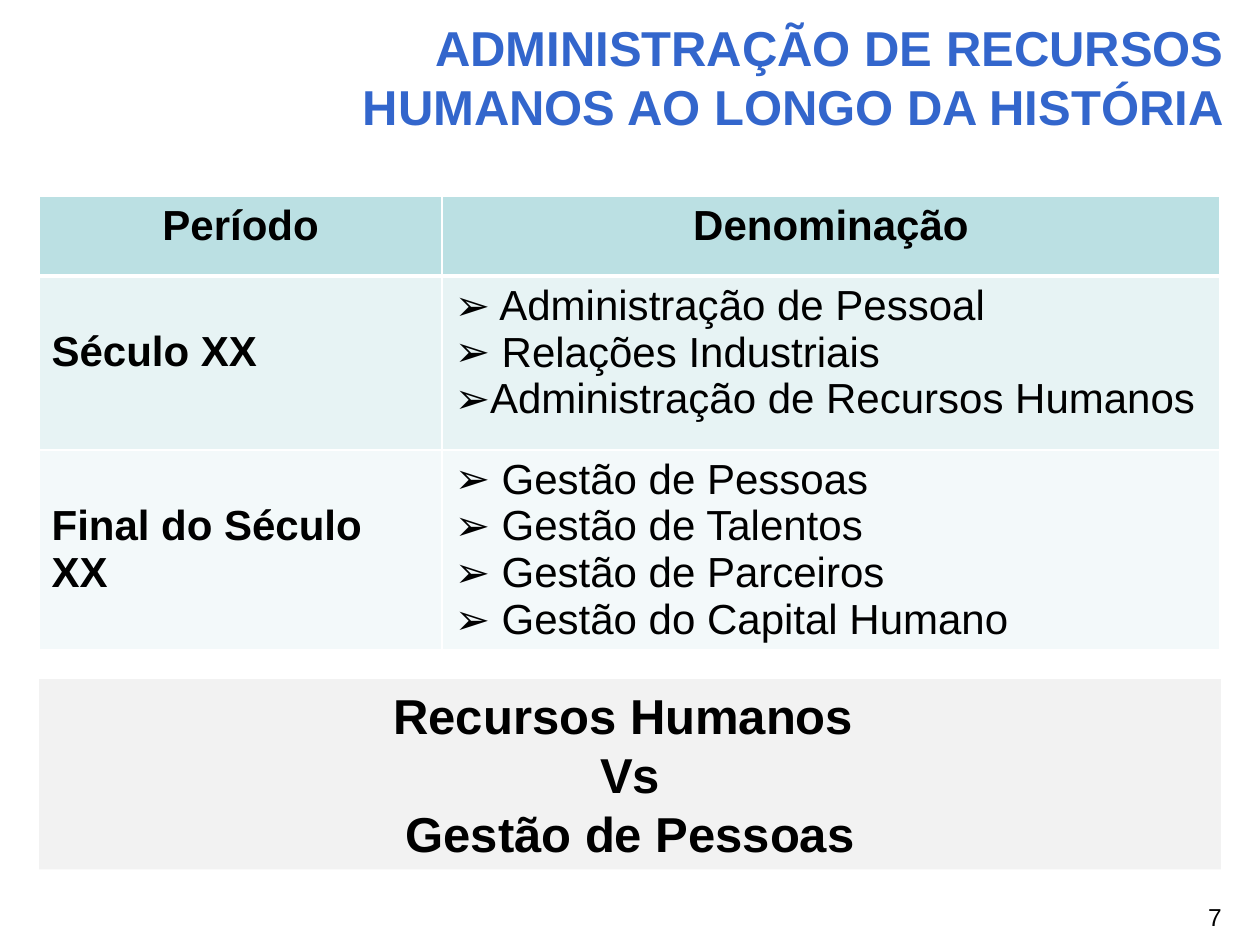
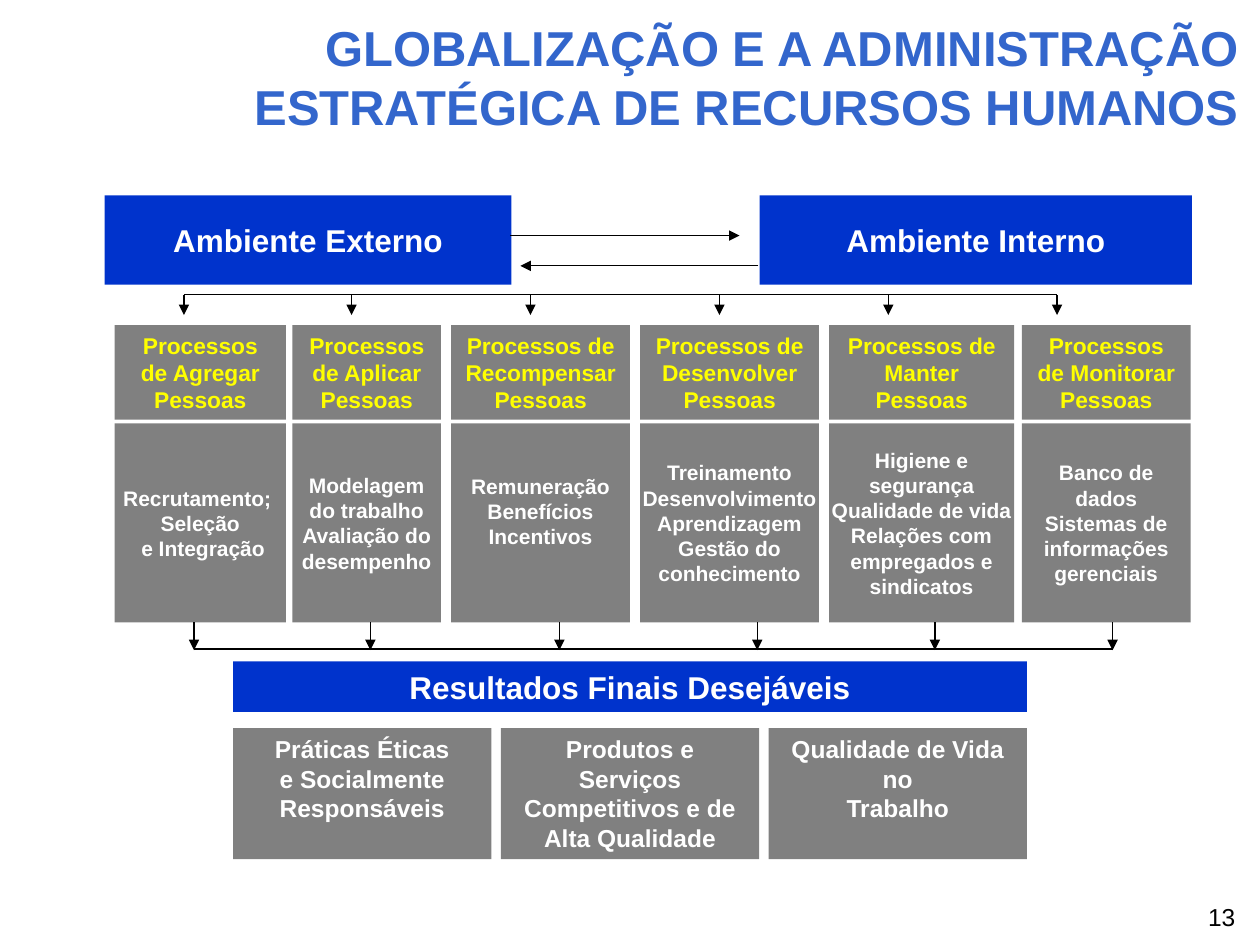
from dataclasses import dataclass

from lxml.etree import SubElement
from pptx import Presentation
from pptx.dml.color import RGBColor
from pptx.enum.shapes import MSO_CONNECTOR, MSO_SHAPE
from pptx.enum.text import MSO_ANCHOR, MSO_AUTO_SIZE, PP_ALIGN
from pptx.oxml.ns import qn
from pptx.util import Inches, Pt


@dataclass(frozen=True)
class Theme:
    font: str = "Arial"
    title: str = "3366CC"
    text: str = "000000"
    inverse: str = "FFFFFF"
    accent: str = "FFFF00"
    blue: str = "0033CC"
    grey: str = "808080"
    pale: str = "F2F2F2"
    rows: tuple = ("BBE0E3", "E7F3F4", "F3F9FA")
    title_size: int = 28
    table_size: int = 24
    banner_size: int = 18
    result_size: int = 14
    process_size: int = 13
    detail_size: int = 12
    number_size: int = 14
    line_width: float = 0.75


class Deck:
    def __init__(self, theme):
        self.theme = theme
        self.presentation = Presentation()
        self.presentation.slide_width = Inches(10)
        self.presentation.slide_height = Inches(7.5)
        self.slide = None

    def add_slide(self, title, left, width, number):
        theme = self.theme
        self.slide = self.presentation.slides.add_slide(self.presentation.slide_layouts[5])
        shape = self.slide.shapes.title
        shape.left, shape.top = Inches(left), Inches(0.13)
        shape.width, shape.height = Inches(width), Inches(0.95)
        self.set_text(shape.text_frame, [title], theme.title_size, theme.title,
                      align=PP_ALIGN.RIGHT, anchor=MSO_ANCHOR.MIDDLE)
        box = self.slide.shapes.add_textbox(Inches(9.49), Inches(7.11), Inches(0.63), Inches(0.34))
        self.set_text(box.text_frame, [number], theme.number_size, theme.text,
                      bold=False, align=PP_ALIGN.LEFT)

    def set_text(self, frame, lines, size, color, bold=True, align=PP_ALIGN.CENTER,
                 anchor=MSO_ANCHOR.TOP, wrap=True):
        frame.auto_size = MSO_AUTO_SIZE.NONE
        frame.word_wrap = wrap
        frame.vertical_anchor = anchor
        self.fill_paragraphs(frame, lines, size, color, bold, align)

    def fill_paragraphs(self, frame, lines, size, color, bold, align):
        frame.text = "\n".join(lines)
        for paragraph in frame.paragraphs:
            paragraph.alignment = align
            paragraph.font.name = self.theme.font
            paragraph.font.size = Pt(size)
            paragraph.font.bold = bold
            paragraph.font.color.rgb = RGBColor.from_string(color)

    def box(self, left, top, width, height, fill, lines, size, color, **options):
        shape = self.slide.shapes.add_shape(
            MSO_SHAPE.RECTANGLE, Inches(left), Inches(top), Inches(width), Inches(height))
        shape.shadow.inherit = False
        shape.fill.solid()
        shape.fill.fore_color.rgb = RGBColor.from_string(fill)
        shape.line.fill.background()
        self.set_text(shape.text_frame, lines, size, color, **options)
        return shape

    def line(self, start, end, arrow=True):
        connector = self.slide.shapes.add_connector(
            MSO_CONNECTOR.STRAIGHT, *[Inches(value) for value in (*start, *end)])
        connector.line.color.rgb = RGBColor.from_string(self.theme.text)
        connector.line.width = Pt(self.theme.line_width)
        properties = connector._element.spPr
        if arrow:
            SubElement(properties.find(qn("a:ln")), qn("a:tailEnd"), type="triangle")
        SubElement(properties, qn("a:effectLst"))

    def comb(self, centers, bar, top, bottom):
        self.line((centers[0], bar), (centers[-1], bar), arrow=False)
        for center in centers:
            self.line((center, top), (center, bottom))

    def border(self, cell, widths):
        properties = cell._tc.get_or_add_tcPr()
        for index, (side, width) in enumerate(widths.items()):
            edge = properties.makeelement(qn(f"a:ln{side}"), {"w": str(int(Pt(width)))})
            fill = SubElement(edge, qn("a:solidFill"))
            SubElement(fill, qn("a:srgbClr"), val=self.theme.inverse)
            properties.insert(index, edge)

    def bullets(self, frame):
        for paragraph in frame.paragraphs:
            properties = paragraph._p.get_or_add_pPr()
            properties.set("marL", "0")
            properties.set("indent", "0")
            SubElement(properties, qn("a:buFont"), typeface=self.theme.font)
            SubElement(properties, qn("a:buChar"), char="➢")
            properties.append(properties.find(qn("a:defRPr")))

    def table(self, left, top, columns, heights, rows):
        theme = self.theme
        frame = self.slide.shapes.add_table(
            len(rows), len(columns), Inches(left), Inches(top),
            Inches(sum(columns)), Inches(sum(heights)))
        table = frame.table
        table.horz_banding = False
        for column, width in zip(table.columns, columns):
            column.width = Inches(width)
        for row, height in zip(table.rows, heights):
            row.height = Inches(height)
        for row_index, row in enumerate(rows):
            header = row_index == 0
            for column_index, lines in enumerate(row):
                cell = table.cell(row_index, column_index)
                listed = not header and column_index == 1
                self.fill_paragraphs(cell.text_frame, lines, theme.table_size, theme.text,
                                     not listed, PP_ALIGN.CENTER if header else PP_ALIGN.LEFT)
                if listed:
                    self.bullets(cell.text_frame)
                elif not header:
                    cell.margin_top = Inches(0.42)
                cell.fill.solid()
                cell.fill.fore_color.rgb = RGBColor.from_string(theme.rows[row_index])
                self.border(cell, {"L": 1, "R": 1, "T": 3 if row_index == 1 else 1,
                                   "B": 3 if header else 1})


def history_slide(deck):
    theme = deck.theme
    deck.add_slide("ADMINISTRAÇÃO DE RECURSOS HUMANOS AO LONGO DA HISTÓRIA", 1.93, 7.88, "7")
    deck.table(0.31, 1.56, (3.2, 6.17), (0.63, 1.38, 1.58), [
        (["Período"], ["Denominação"]),
        (["Século XX"], [" Administração de Pessoal", " Relações Industriais",
                         "Administração de Recursos Humanos"]),
        (["Final do Século XX"], [" Gestão de Pessoas", " Gestão de Talentos",
                                  " Gestão de Parceiros", " Gestão do Capital Humano"]),
    ])
    deck.box(0.31, 5.39, 9.38, 1.51, theme.pale,
             ["Recursos Humanos ", "Vs", "Gestão de Pessoas"], theme.title_size, theme.text)


def strategy_slide(deck):
    theme = deck.theme
    deck.add_slide("GLOBALIZAÇÃO E A ADMINISTRAÇÃO ESTRATÉGICA DE RECURSOS HUMANOS",
                   1.45, 8.48, "13")
    for left, width, name in ((0.83, 3.23, "Externo"), (6.03, 3.43, "Interno")):
        deck.box(left, 1.55, width, 0.71, theme.blue, [f"Ambiente {name}"],
                 theme.banner_size, theme.inverse, anchor=MSO_ANCHOR.MIDDLE, wrap=False)
    deck.line((4.05, 1.87), (5.87, 1.87))
    deck.line((6.02, 2.11), (4.13, 2.11))

    processes = [
        (0.91, 1.36, "Agregar", ["Recrutamento; ", "Seleção", " e Integração"]),
        (2.32, 1.18, "Aplicar", ["Modelagem", "do trabalho", "Avaliação do", "desempenho"]),
        (3.58, 1.42, "Recompensar", ["Remuneração", "Benefícios", "Incentivos"]),
        (5.08, 1.42, "Desenvolver", ["Treinamento", "Desenvolvimento", "Aprendizagem",
                                     "Gestão do", "conhecimento"]),
        (6.58, 1.47, "Manter", ["Higiene e", "segurança", "Qualidade de vida",
                                "Relações com", "empregados e", "sindicatos"]),
        (8.11, 1.34, "Monitorar", ["Banco de", "dados", "Sistemas de",
                                   "informações", "gerenciais"]),
    ]
    for left, width, name, details in processes:
        deck.box(left, 2.58, width, 0.75, theme.grey, [f"Processos de {name} Pessoas"],
                 theme.process_size, theme.accent)
        detail = deck.box(left, 3.36, width, 1.58, theme.grey, details, theme.detail_size,
                          theme.inverse, anchor=MSO_ANCHOR.MIDDLE, wrap=False)
        if name == "Recompensar":
            detail.text_frame.margin_bottom = Inches(0.24)
    deck.comb((1.46, 2.79, 4.21, 5.71, 7.05, 8.39), 2.34, 2.34, 2.5)
    deck.comb((1.54, 2.94, 4.44, 6.01, 7.42, 8.83), 5.15, 4.94, 5.16)

    deck.box(1.85, 5.25, 6.3, 0.4, theme.blue, ["Resultados Finais Desejáveis"],
             theme.banner_size, theme.inverse)
    results = [
        ["Práticas Éticas", "e Socialmente Responsáveis"],
        ["Produtos e Serviços", "Competitivos e de Alta Qualidade"],
        ["Qualidade de Vida", "no", "Trabalho"],
    ]
    width = 2.05
    gap = (6.3 - len(results) * width) / (len(results) - 1)
    for index, lines in enumerate(results):
        deck.box(1.85 + index * (width + gap), 5.78, width, 1.04, theme.grey, lines,
                 theme.result_size, theme.inverse)


deck = Deck(Theme())
history_slide(deck)
strategy_slide(deck)
deck.presentation.save("out.pptx")
